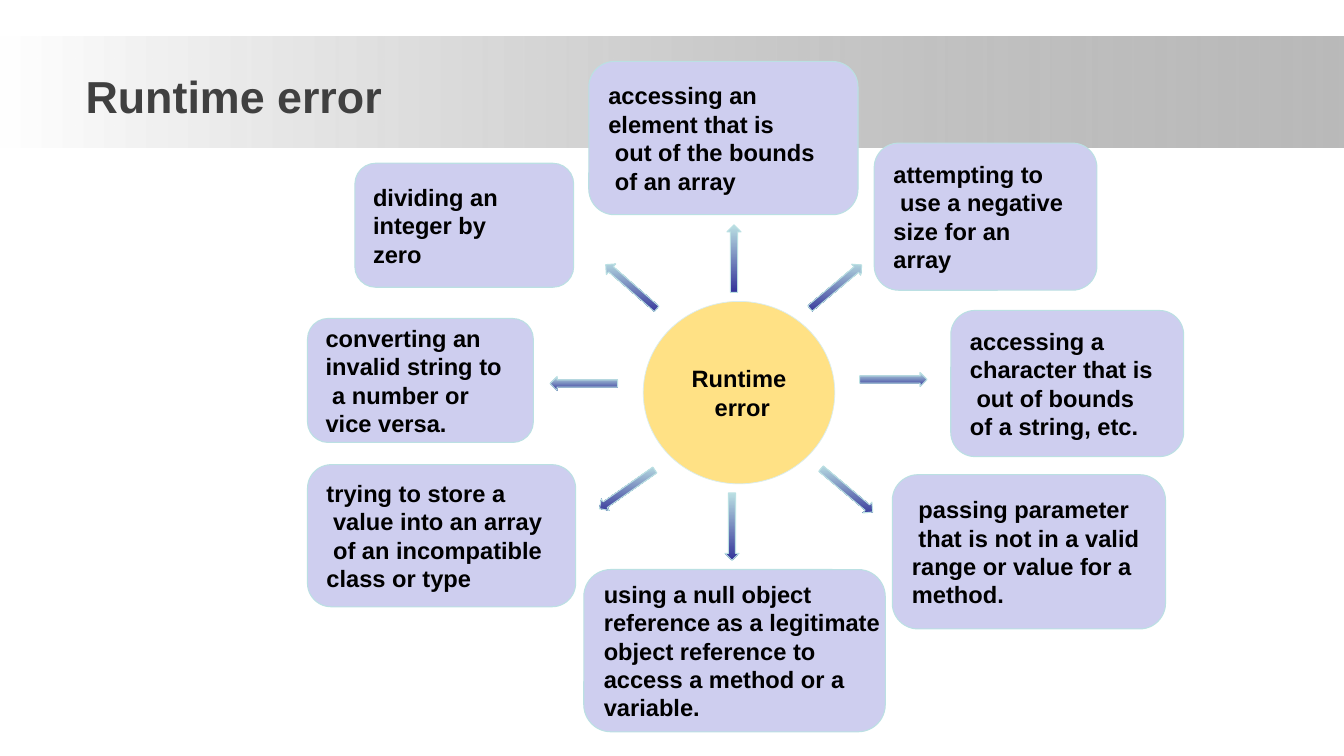
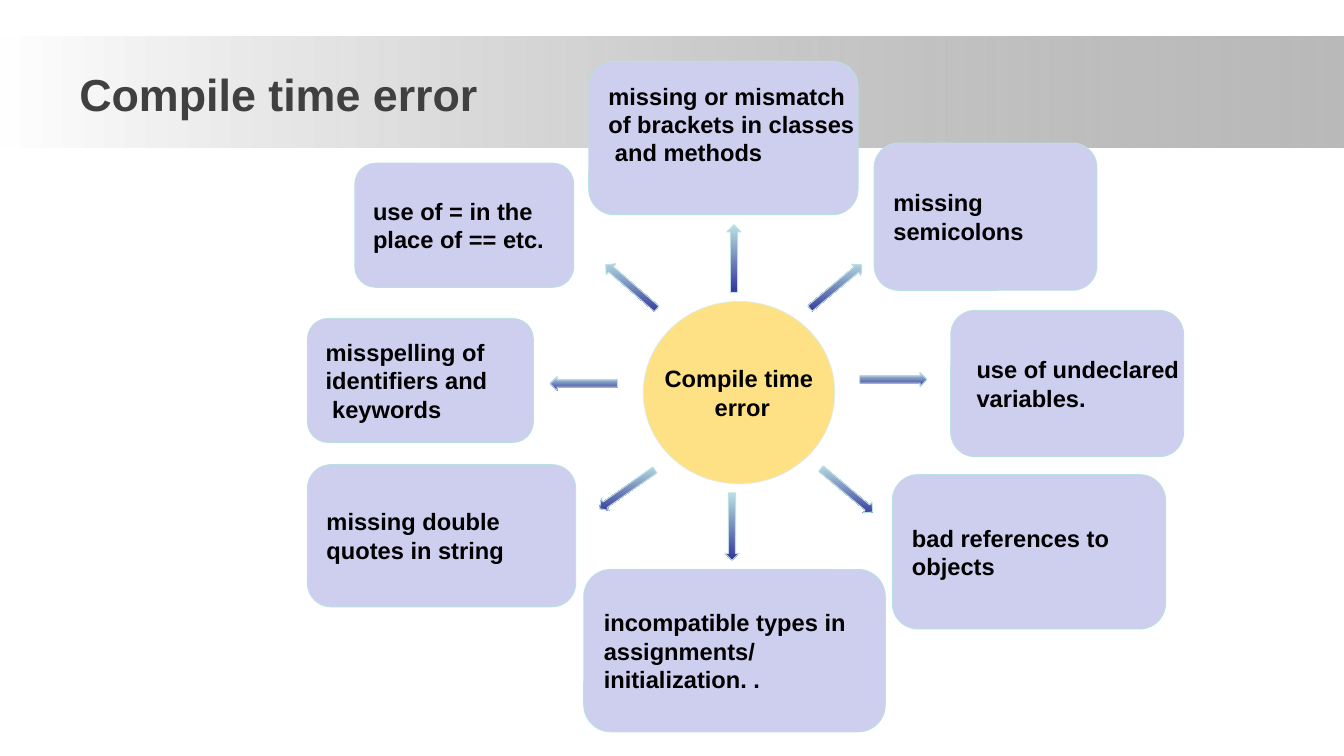
from pptx import Presentation
from pptx.dml.color import RGBColor
from pptx.enum.shapes import MSO_SHAPE
from pptx.enum.text import MSO_ANCHOR, PP_ALIGN
from pptx.oxml.ns import qn
from pptx.util import Pt
from lxml.etree import SubElement

PX = 9144  # EMU per px, 100 px to the inch
SLIDE_WIDTH, SLIDE_HEIGHT = 1333, 750
FONT = "Arial"
COLORS = {
    "white": "FFFFFF",
    "band": "808080",
    "title": "404040",
    "ink": "000000",
    "cause": "CECEEF",
    "edge": "BBE0E3",
    "hub": "FFE185",
    "hub_edge": "DAEDEF",
    "arrow_end": "333399",
}

DIAGRAM_BOX = (305, 61, 869, 665)
# Left, top, width and height inside the diagram
HUB_PLACE = (333, 238, 190, 181)
CAUSE_PLACES = {
    "upper left": (47, 101, 217, 123),
    "left": (0, 255, 224, 123),
    "top": (279, 0, 267, 152),
    "upper right": (562, 81, 221, 146),
    "lower right": (580, 410, 271, 153),
    "bottom": (274, 504, 299, 161),
    "lower left": (0, 400, 266, 141),
    "right": (638, 247, 231, 145),
}
# Left, top and rotation of each arrow inside the diagram
ARROW_SIZE = (14, 67)
ARROW_PLACES = [
    (414, 428, 0),
    (416, 162, 180),
    (267, 286, 90),
    (574, 282, 270),
    (310, 391, 55),
    (517, 190, 230),
    (528, 392, 310),
    (314, 190, 131),
]

ERROR_SLIDES = [
    {
        "title": "Runtime error",
        "title_box": (75, 63, 350, 64),
        "title_align": PP_ALIGN.LEFT,
        "hub": "Runtime\n error",
        "causes": {
            "upper left": "dividing an\ninteger by\nzero",
            "left": "converting an\ninvalid string to\n a number or\nvice versa.",
            "top": "accessing an\nelement that is\n out of the bounds\n of an array",
            "upper right": "attempting to\n use a negative\nsize for an\narray",
            "lower right": " passing parameter\n that is not in a valid\n"
                           "range or value for a\nmethod.",
            "bottom": "using a null object\nreference as a legitimate\n"
                      "object reference to\naccess a method or a\nvariable.",
            "lower left": "trying to store a\n value into an array\n"
                          " of an incompatible\nclass or type",
            "right": "accessing a\ncharacter that is\n out of bounds\nof a string, etc.",
        },
        "raised": {},
    },
    {
        "title": "Compile time error",
        "title_box": (58, 61, 437, 64),
        "title_align": PP_ALIGN.CENTER,
        "hub": "Compile time\n error",
        "causes": {
            "upper left": "use of = in the\nplace of == etc.",
            "left": "misspelling of\nidentifiers and\n keywords",
            "top": "missing or mismatch\nof brackets in classes\n and methods",
            "upper right": "missing\nsemicolons",
            "lower right": "bad references to\nobjects",
            "bottom": "incompatible types in\nassignments/\ninitialization. .",
            "lower left": "missing double\nquotes in string",
            "right": " use of undeclared\n variables.",
        },
        "raised": {"top": 28},
    },
]


def rgb(name):
    return RGBColor.from_string(COLORS[name])


def scaled(box):
    return [length * PX for length in box]


def within(box, place):
    """Move a place given inside a box to slide coordinates."""
    return (box[0] + place[0], box[1] + place[1], *place[2:])


def write(frame, text, size=16.9, color="ink", align=PP_ALIGN.LEFT,
          anchor=MSO_ANCHOR.MIDDLE, insets=(12, 6, 12, 6), wrap=False):
    """Fill a text frame, one paragraph for each line of text."""
    frame.text = text
    frame.word_wrap = wrap
    frame.vertical_anchor = anchor
    (frame.margin_left, frame.margin_top,
     frame.margin_right, frame.margin_bottom) = scaled(insets)
    for paragraph in frame.paragraphs:
        paragraph.alignment = align
        for run in paragraph.runs:
            run.font.name = FONT
            run.font.size = Pt(size)
            run.font.bold = True
            run.font.color.rgb = rgb(color)


def add_figure(slide, preset, box, fill=None, edge=None, edge_width=0.75):
    figure = slide.shapes.add_shape(preset, *scaled(box))
    figure.shadow.inherit = False
    if fill:
        figure.fill.solid()
        figure.fill.fore_color.rgb = rgb(fill)
    if edge:
        figure.line.color.rgb = rgb(edge)
        figure.line.width = Pt(edge_width)
    else:
        figure.line.fill.background()
    return figure


def shade(figure, start, end, angle, end_opacity=100):
    """Give a two-colour gradient that does not turn with the figure."""
    figure.fill.gradient()
    figure.fill.gradient_angle = angle
    stops = figure.fill.gradient_stops
    for stop, position, color in zip(stops, (0, 1), (start, end)):
        stop.position = position
        stop.color.rgb = rgb(color)
    gradient = figure._element.spPr.find(qn("a:gradFill"))
    gradient.set("rotWithShape", "0")
    if end_opacity < 100:
        end_color = gradient.findall(".//" + qn("a:srgbClr"))[-1]
        SubElement(end_color, qn("a:alpha"), val=str(end_opacity * 1000))


def add_header(slide, title, box, align):
    band = add_figure(slide, MSO_SHAPE.RECTANGLE, (0, 36, SLIDE_WIDTH, 110))
    shade(band, "white", "band", angle=0, end_opacity=54)

    def add_title():
        heading = slide.shapes.add_textbox(*scaled(box))
        write(heading.text_frame, title, size=32, color="title", align=align,
              anchor=MSO_ANCHOR.TOP, insets=(10, 5, 10, 5), wrap=True)
    return add_title


def add_diagram(slide, box, hub_text, causes, raised):
    """Draw causes around a hub; raised lifts a text by extra bottom inset."""
    for side, place in CAUSE_PLACES.items():
        cause = add_figure(slide, MSO_SHAPE.ROUNDED_RECTANGLE,
                           within(box, place), "cause", "edge")
        write(cause.text_frame, causes[side],
              insets=(12, 6, 12, 6 + raised.get(side, 0)))

    hub = add_figure(slide, MSO_SHAPE.OVAL, within(box, HUB_PLACE),
                     "hub", "hub_edge", edge_width=0.5)
    write(hub.text_frame, hub_text, align=PP_ALIGN.CENTER)

    for left, top, rotation in ARROW_PLACES:
        arrow = add_figure(slide, MSO_SHAPE.DOWN_ARROW,
                           within(box, (left, top, *ARROW_SIZE)), edge="edge")
        arrow.rotation = rotation
        shade(arrow, "edge", "arrow_end", angle=270)


def add_error_slide(deck, content):
    slide = deck.slides.add_slide(deck.slide_layouts[6])
    add_title = add_header(slide, content["title"], content["title_box"],
                           content["title_align"])
    add_diagram(slide, DIAGRAM_BOX, content["hub"], content["causes"],
                content["raised"])
    add_title()


def main():
    deck = Presentation()
    deck.slide_width, deck.slide_height = scaled((SLIDE_WIDTH, SLIDE_HEIGHT))
    for content in ERROR_SLIDES:
        add_error_slide(deck, content)
    deck.save("out.pptx")


if __name__ == "__main__":
    main()
